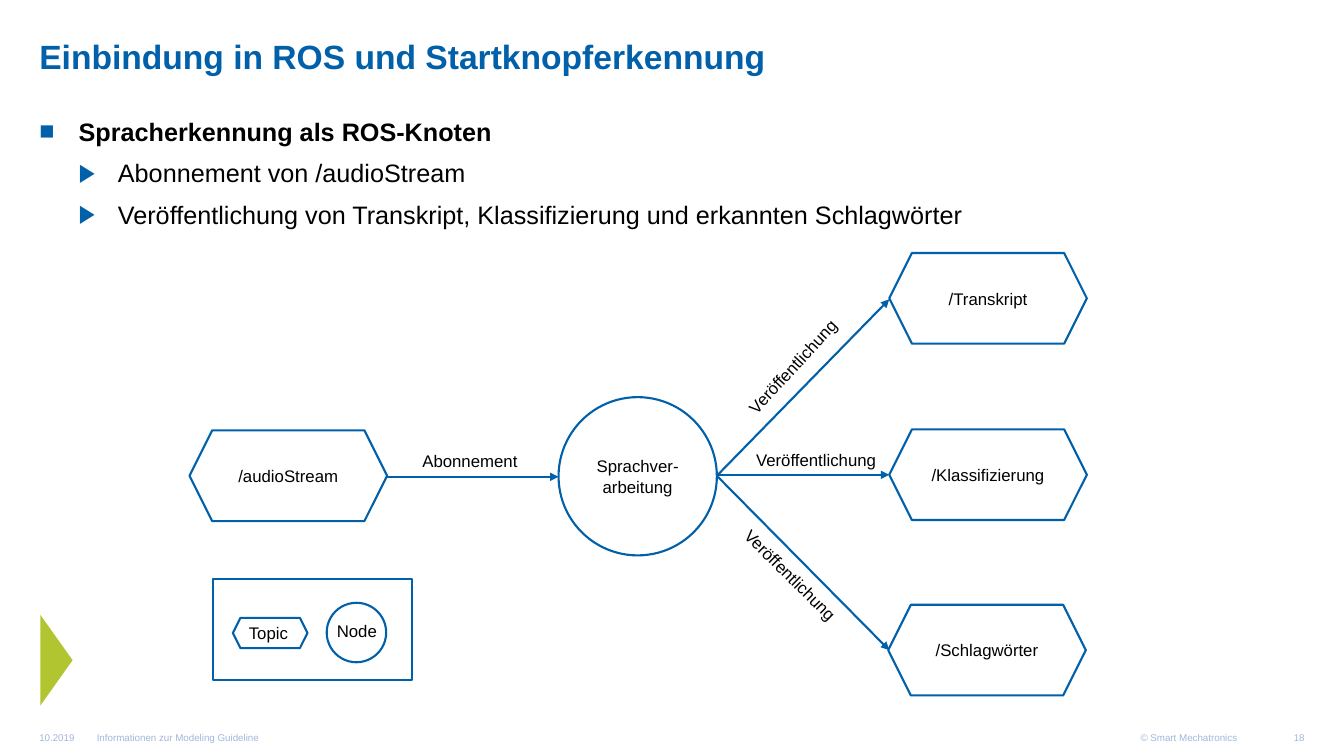
from dataclasses import dataclass

from lxml.etree import SubElement
from pptx import Presentation
from pptx.dml.color import RGBColor
from pptx.enum.shapes import MSO_CONNECTOR, MSO_SHAPE as Preset
from pptx.enum.text import MSO_ANCHOR as Anchor, MSO_AUTO_SIZE, PP_ALIGN as Align
from pptx.oxml.ns import qn
from pptx.util import Pt

EMU_PER_PX = 9144
BLUE, PALE_BLUE, GREEN, WHITE, BLACK = "0060A9", "A3B7DA", "B0C52F", "FFFFFF", "000000"
NO_INSETS = (0, 0, 0, 0)
BOX_INSETS = (10, 5, 10, 5)
TOPIC_INSETS = (5, 5, 5, 5)
TOPIC_SIZE = (196, 90)


@dataclass
class Label:
    text: str
    box: tuple[int, int, int, int]
    rotation: float = 0
    size: int = 12
    color: str = BLACK
    align: Align = Align.LEFT
    anchor: Anchor = Anchor.TOP
    insets: tuple[int, int, int, int] = BOX_INSETS


@dataclass
class Node:
    preset: Preset
    box: tuple[int, int, int, int]
    text: str = ""
    insets: tuple[int, int, int, int] = BOX_INSETS
    fill: str | None = WHITE


@dataclass
class Arrow:
    start: tuple[int, int]
    end: tuple[int, int]


@dataclass
class Bullet:
    text: str
    level: int
    symbol: str


def topic(text: str, left: int, top: int) -> Node:
    return Node(Preset.HEXAGON, (left, top, *TOPIC_SIZE), text, TOPIC_INSETS)


def footer(text: str, left: int, width: int, align: Align, insets: tuple) -> Label:
    return Label(text, (left, 720, width, 24), 0, 7, PALE_BLUE, align, Anchor.MIDDLE, insets)


FOOTERS = [
    footer("10.2019", 39, 54, Align.LEFT, NO_INSETS),
    footer("Informationen zur Modeling Guideline", 96, 548, Align.LEFT, (0, 5, 10, 5)),
    footer("© Smart Mechatronics", 1055, 172, Align.RIGHT, NO_INSETS),
    footer("18", 1254, 40, Align.RIGHT, (10, 5, 0, 5)),
]
BULLETS = [
    Bullet("Spracherkennung als ROS-Knoten", 0, "■"),
    Bullet("Abonnement von /audioStream", 1, "▶"),
    Bullet("Veröffentlichung von Transkript, Klassifizierung und erkannten Schlagwörter", 1, "▶"),
]
NODES = [
    Node(Preset.OVAL, (554, 394, 157, 157), "Sprachver-\narbeitung"),
    topic("/audioStream", 188, 427),
    topic("/Transkript", 882, 251),
    topic("/Klassifizierung", 882, 426),
    topic("/Schlagwörter", 881, 600),
    Node(Preset.RECTANGLE, (211, 574, 198, 101), fill=None),
    Node(Preset.HEXAGON, (231, 613, 74, 30)),
    Node(Preset.OVAL, (324, 598, 59, 59)),
]
ARROWS = [
    Arrow((384, 473), (554, 473)),
    Arrow((712, 471), (882, 297)),
    Arrow((712, 471), (882, 471)),
    Arrow((712, 473), (882, 645)),
]
LABELS = [
    Label("Abonnement", (409, 442, 149, 30)),
    Label("Veröffentlichung", (740, 441, 149, 30)),
    Label("Veröffentlichung", (715, 345, 149, 30), 312.7),
    Label("Veröffentlichung", (713, 559, 149, 30), 44.9),
    Label("Topic", (237, 613, 107, 30)),
    Label("Node", (324, 611, 60, 30), align=Align.CENTER, insets=(0, 5, 0, 5)),
]


def px(*lengths: int) -> list[int]:
    return [length * EMU_PER_PX for length in lengths]


def rgb(color: str) -> RGBColor:
    return RGBColor.from_string(color)


def set_font(paragraph, size: int, color: str, bold: bool = False) -> None:
    font = paragraph.font
    font.name, font.size, font.bold = "Arial", Pt(size), bold
    font.color.rgb = rgb(color)


def set_frame(frame, insets: tuple, anchor: Anchor) -> None:
    frame.word_wrap = True
    frame.auto_size = MSO_AUTO_SIZE.NONE
    frame.vertical_anchor = anchor
    frame.margin_left, frame.margin_top, frame.margin_right, frame.margin_bottom = px(*insets)


def write(frame, text: str, size: int, color: str, align: Align) -> None:
    frame.text = text
    for paragraph in frame.paragraphs:
        paragraph.alignment = align
        set_font(paragraph, size, color)


def add_label(slide, label: Label) -> None:
    box = slide.shapes.add_textbox(*px(*label.box))
    box.rotation = label.rotation
    set_frame(box.text_frame, label.insets, label.anchor)
    write(box.text_frame, label.text, label.size, label.color, label.align)


def add_node(slide, node: Node) -> None:
    shape = slide.shapes.add_shape(node.preset, *px(*node.box))
    shape.shadow.inherit = False
    if node.fill:
        shape.fill.solid()
        shape.fill.fore_color.rgb = rgb(node.fill)
    else:
        shape.fill.background()
    shape.line.color.rgb = rgb(BLUE)
    shape.line.width = Pt(1.5)
    if node.text:
        set_frame(shape.text_frame, node.insets, Anchor.MIDDLE)
        write(shape.text_frame, node.text, 12, BLACK, Align.CENTER)


def add_arrow(slide, arrow: Arrow) -> None:
    connector = slide.shapes.add_connector(
        MSO_CONNECTOR.STRAIGHT, *px(*arrow.start, *arrow.end))
    connector.line.color.rgb = rgb(BLUE)
    connector.line.width = Pt(1.5)
    SubElement(connector.line._get_or_add_ln(), qn("a:tailEnd"), type="triangle")
    SubElement(connector._element.spPr, qn("a:effectLst"))


def add_title(slide, text: str) -> None:
    title = slide.shapes.title
    title.left, title.top, title.width, title.height = px(39, 28, 998, 47)
    set_frame(title.text_frame, (0, 8, 0, 0), Anchor.BOTTOM)
    title.text_frame.text = text
    paragraph = title.text_frame.paragraphs[0]
    paragraph.alignment = Align.LEFT
    paragraph.line_spacing = 0.8
    set_font(paragraph, 24, BLUE, bold=True)


def add_bullets(slide, bullets: list[Bullet]) -> None:
    frame = slide.shapes.add_textbox(*px(39, 115, 1254, 599)).text_frame
    set_frame(frame, NO_INSETS, Anchor.TOP)
    frame.text = "\n".join(bullet.text for bullet in bullets)
    for index, (paragraph, bullet) in enumerate(zip(frame.paragraphs, bullets)):
        paragraph.level = bullet.level
        paragraph.space_before = Pt(6 if index else 0)
        paragraph.space_after = Pt(2)
        indent = px(39)[0]
        properties = paragraph._p.get_or_add_pPr()
        properties.set("marL", str(indent * (bullet.level + 1)))
        properties.set("indent", str(-indent))
        bullet_color = SubElement(properties, qn("a:buClr"))
        SubElement(bullet_color, qn("a:srgbClr"), val=BLUE)
        SubElement(properties, qn("a:buFont"), typeface="Arial")
        SubElement(properties, qn("a:buChar"), char=bullet.symbol)
        set_font(paragraph, 18, BLACK, bold=bullet.level == 0)


def add_green_wedge(slide) -> None:
    builder = slide.shapes.build_freeform(40, 610, scale=EMU_PER_PX)
    builder.add_line_segments([(72, 655), (40, 700)])
    wedge = builder.convert_to_shape()
    wedge.shadow.inherit = False
    wedge.fill.solid()
    wedge.fill.fore_color.rgb = rgb(GREEN)
    wedge.line.fill.background()


def main() -> None:
    presentation = Presentation()
    presentation.slide_width, presentation.slide_height = px(1333, 750)
    slide = presentation.slides.add_slide(presentation.slide_layouts[5])
    add_title(slide, "Einbindung in ROS und Startknopferkennung")
    add_green_wedge(slide)
    add_bullets(slide, BULLETS)
    for draw, items in ((add_label, FOOTERS), (add_node, NODES),
                        (add_arrow, ARROWS), (add_label, LABELS)):
        for item in items:
            draw(slide, item)
    presentation.save("out.pptx")


if __name__ == "__main__":
    main()
